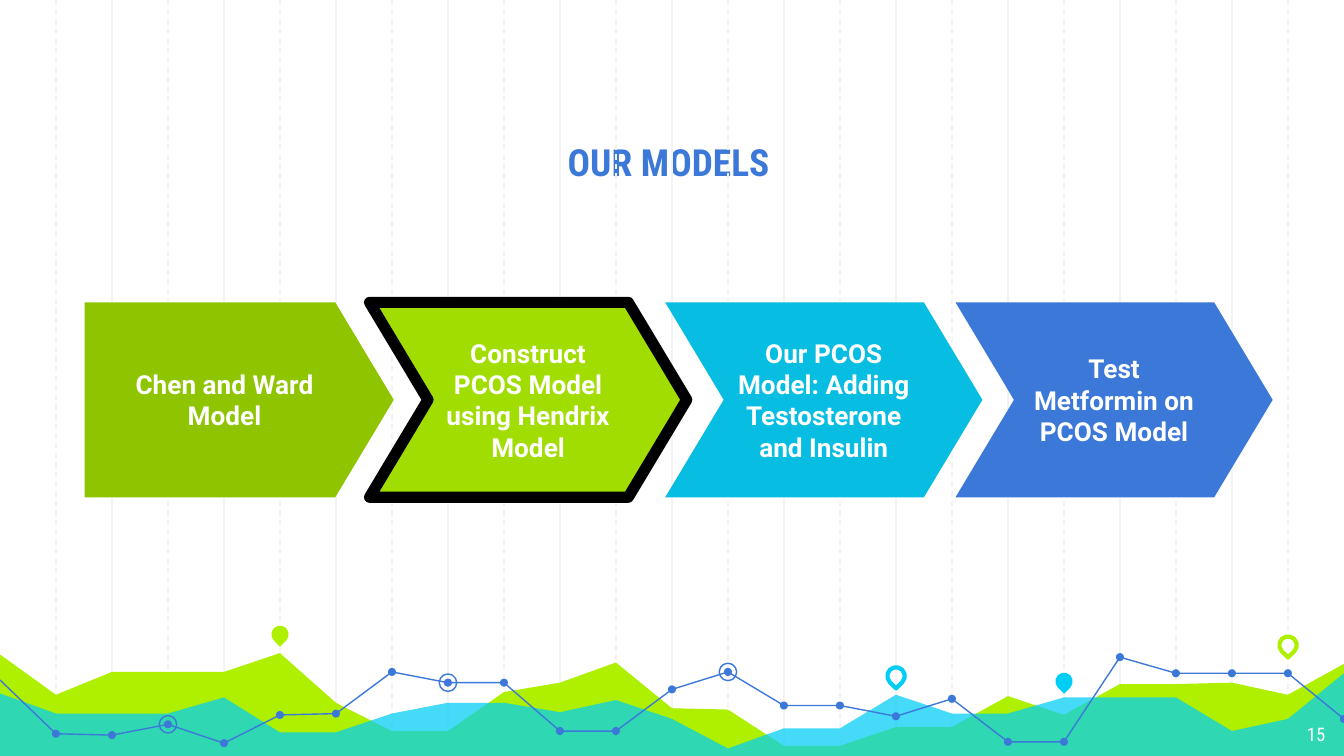
"""Build the OUR MODELS slide: four process arrows above a decorative chart band."""
from lxml.etree import SubElement
from pptx import Presentation
from pptx.dml.color import RGBColor
from pptx.enum.dml import MSO_LINE
from pptx.enum.shapes import MSO_CONNECTOR, MSO_SHAPE as SHAPE
from pptx.enum.text import MSO_ANCHOR as ANCHOR, MSO_AUTO_SIZE, PP_ALIGN as ALIGN
from pptx.oxml.ns import qn
from pptx.util import Inches, Pt

WHITE = RGBColor(0xFF, 0xFF, 0xFF)
BLACK = RGBColor(0x00, 0x00, 0x00)
GRID_GREY = RGBColor(0xF3, 0xF3, 0xF3)
LIME = RGBColor(0xAF, 0xF0, 0x00)
CYAN = RGBColor(0x00, 0xCE, 0xF6)
BLUE = RGBColor(0x3C, 0x78, 0xD8)
OLIVE = RGBColor(0x8E, 0xC4, 0x00)
GREEN = RGBColor(0xA1, 0xDD, 0x00)
TEAL = RGBColor(0x07, 0xBE, 0xE2)

WIDTH, HEIGHT = 10, 5.625
COLUMNS = 24
STEP = WIDTH / COLUMNS

TITLE = "OUR MODELS"
PAGE = "15"
STEPS = [
    ("Chen and Ward Model", SHAPE.PENTAGON, 0.63, 2.3, OLIVE, None),
    ("Construct PCOS Model using Hendrix Model", SHAPE.CHEVRON, 2.75, 2.36, GREEN, BLACK),
    ("Our PCOS Model: Adding Testosterone and Insulin", SHAPE.CHEVRON, 4.95, 2.36, TEAL, None),
    ("Test Metformin on PCOS Model", SHAPE.CHEVRON, 7.11, 2.36, BLUE, None),
]
STEP_TOP, STEP_HEIGHT = 2.25, 1.45

LIME_HILLS = [4.87, 5.17, 5, 5, 5, 4.86, 5.23, 5.44, 5.44, 5.15, 5.08, 4.93, 5.27,
              5.28, 5.55, 5.55, 5.41, 5.41, 5.18, 5.32, 5.09, 5.09, 5.08, 5.17, 4.94]
CYAN_HILLS = [5.16, 5.31, 5.31, 5.31, 5.19, 5.45, 5.45, 5.31, 5.23, 5.23, 5.3, 5.21, 5.35,
              5.57, 5.42, 5.42, 5.17, 5.31, 5.31, 5.19, 5.19, 5.19, 5.44, 5.35, 5.01]
TREND = [5.06, 5.46, 5.47, 5.39, 5.53, 5.32, 5.31, 5, 5.08, 5.08, 5.44, 5.44, 5.13,
         5, 5.25, 5.25, 5.33, 5.2, 5.52, 5.52, 4.89, 5.01, 5.01, 5.01, 5.35]
RINGED_COLUMNS = [3, 8, 13]
PINS = [(5, 4.72, LIME, True), (16, 5.03, CYAN, False),
        (19, 5.07, CYAN, True), (23, 4.8, LIME, False)]
DOT, MARK = 0.06, 0.13

TITLE_FONT = {"name": "Roboto Condensed", "size": Pt(20), "bold": True}
STEP_FONT = {"name": "Roboto", "size": Pt(14), "bold": True}
PAGE_FONT = {"name": "Roboto Condensed", "size": Pt(10)}


def paint(shape, fill=None, line=None, weight=0.75):
    shape.shadow.inherit = False
    if fill is None:
        shape.fill.background()
    else:
        shape.fill.solid()
        shape.fill.fore_color.rgb = fill
    if line is None:
        shape.line.fill.background()
    else:
        shape.line.color.rgb = line
        shape.line.width = Pt(weight)


def write(shape, text, font, color, align, anchor):
    frame = shape.text_frame
    margins = dict.fromkeys(
        ("margin_left", "margin_top", "margin_right", "margin_bottom"), Inches(0.1))
    settings = {"text": text, "word_wrap": True, "auto_size": MSO_AUTO_SIZE.NONE,
                "vertical_anchor": anchor, **margins}
    for name, value in settings.items():
        setattr(frame, name, value)
    paragraph = frame.paragraphs[0]
    paragraph.alignment = align
    run_font = paragraph.runs[0].font
    for name, value in font.items():
        setattr(run_font, name, value)
    run_font.color.rgb = color


def add_gridline(shapes, column):
    x = Inches(column * STEP)
    gridline = shapes.add_connector(MSO_CONNECTOR.STRAIGHT, x, 0, x, Inches(HEIGHT))
    gridline.line.color.rgb = GRID_GREY
    gridline.line.width = Pt(0.75)
    if column % 2:
        gridline.line.dash_style = MSO_LINE.DASH
    SubElement(gridline._element.spPr, qn("a:effectLst"))


def add_series(shapes, heights, filled):
    points = [(Inches(column * STEP), Inches(y)) for column, y in enumerate(heights)]
    if filled:
        points += [(Inches(WIDTH), Inches(HEIGHT)), (0, Inches(HEIGHT))]
    builder = shapes.build_freeform(*points[0])
    builder.add_line_segments(points[1:], close=filled)
    return builder.convert_to_shape()


def add_mark(shapes, kind, column, y, size):
    return shapes.add_shape(kind, Inches(column * STEP - size / 2), Inches(y - size / 2),
                            Inches(size), Inches(size))


def add_chart_band(shapes):
    paint(add_series(shapes, LIME_HILLS, True), LIME)
    cyan_area = add_series(shapes, CYAN_HILLS, True)
    paint(cyan_area, CYAN)
    color = cyan_area._element.spPr.find(qn("a:solidFill"))[0]
    SubElement(color, qn("a:alpha"), val="73000")

    paint(add_series(shapes, TREND, False), line=BLUE)
    for column, y in enumerate(TREND[1:], 1):
        paint(add_mark(shapes, SHAPE.OVAL, column, y, DOT), BLUE)
    for column in RINGED_COLUMNS:
        paint(add_mark(shapes, SHAPE.OVAL, column, TREND[column], MARK), line=BLUE)
    for column, y, color, solid in PINS:
        pin = add_mark(shapes, SHAPE.TEAR, column, y, MARK)
        pin.rotation = 135
        if solid:
            paint(pin, fill=color)
        else:
            paint(pin, line=color, weight=2.25)


def add_steps(shapes):
    for text, kind, left, width, fill, outline in STEPS:
        arrow = shapes.add_shape(kind, Inches(left), Inches(STEP_TOP),
                                 Inches(width), Inches(STEP_HEIGHT))
        arrow.adjustments[0] = 0.3
        paint(arrow, fill, outline, 6)
        if outline is not None:
            SubElement(arrow.line._get_or_add_ln(), qn("a:round"))
        write(arrow, text, STEP_FONT, WHITE, ALIGN.CENTER, ANCHOR.MIDDLE)


def main():
    deck = Presentation()
    deck.slide_width, deck.slide_height = Inches(WIDTH), Inches(HEIGHT)
    slide = deck.slides.add_slide(deck.slide_layouts[5])
    shapes = slide.shapes

    for column in range(1, COLUMNS):
        add_gridline(shapes, column)
    add_chart_band(shapes)

    title = shapes.title
    place = {"left": 1.15, "top": 0.69, "width": 7.65, "height": 0.78}
    for name, value in place.items():
        setattr(title, name, Inches(value))
    write(title, TITLE, TITLE_FONT, BLUE, ALIGN.CENTER, ANCHOR.BOTTOM)

    add_steps(shapes)
    page = shapes.add_textbox(Inches(9.36), Inches(5.28), Inches(0.6), Inches(0.35))
    write(page, PAGE, PAGE_FONT, WHITE, ALIGN.RIGHT, ANCHOR.TOP)
    deck.save("out.pptx")


if __name__ == "__main__":
    main()
